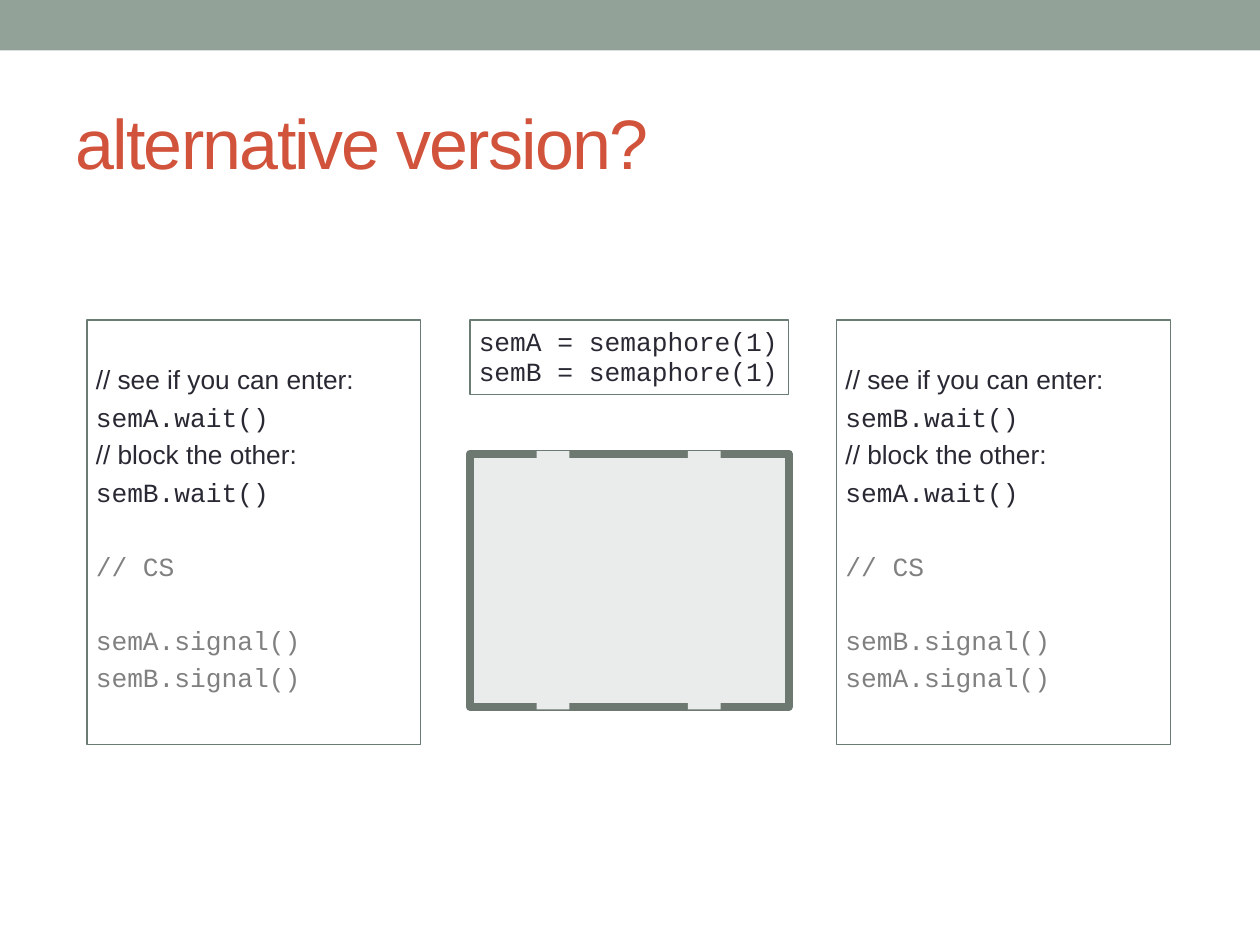
from pptx import Presentation
from pptx.dml.color import RGBColor
from pptx.enum.shapes import MSO_SHAPE
from pptx.enum.text import MSO_ANCHOR, PP_ALIGN
from pptx.util import Inches, Pt

RECTANGLE = MSO_SHAPE.RECTANGLE
MIDDLE, TOP = MSO_ANCHOR.MIDDLE, MSO_ANCHOR.TOP
LEFT = PP_ALIGN.LEFT

SANS, MONO = "Arial", "Courier New"
DARK, GRAY, BORDER = "292934", "808080", "6B7D72"
ROOM_FILL, ROOM_LINE = "E9ECEB", "6D7871"
LINE_GAP, SECTION_GAP = 4.5, 25

TITLE = "alternative version?"
SEMAPHORES = ["semA = semaphore(1)", "semB = semaphore(1)"]
THREADS = [(0.69, "semA", "semB"), (6.64, "semB", "semA")]
DOOR_LEFTS = [4.26, 5.46]


def color(value):
    return RGBColor.from_string(value)


def thread_lines(own, other):
    return [
        ("// see if you can enter:", SANS, DARK, 0),
        (f"{own}.wait()", MONO, DARK, LINE_GAP),
        ("// block the other:", SANS, DARK, LINE_GAP),
        (f"{other}.wait()", MONO, DARK, LINE_GAP),
        ("// CS", MONO, GRAY, SECTION_GAP),
        (f"{own}.signal()", MONO, GRAY, SECTION_GAP),
        (f"{other}.signal()", MONO, GRAY, LINE_GAP),
    ]


def add_box(slide, bounds, fill=None, line=None, line_width=0.75):
    shape = slide.shapes.add_shape(RECTANGLE, *map(Inches, bounds))
    shape.shadow.inherit = False
    if fill:
        shape.fill.solid()
        shape.fill.fore_color.rgb = color(fill)
    else:
        shape.fill.background()
    if line:
        shape.line.color.rgb = color(line)
        shape.line.width = Pt(line_width)
    else:
        shape.line.fill.background()
    return shape


def add_code(slide, bounds, lines, spacing, anchor, top_margin):
    text_frame = add_box(slide, bounds, line=BORDER).text_frame
    text_frame.word_wrap = True
    text_frame.vertical_anchor = anchor
    text_frame.margin_left = text_frame.margin_right = Inches(0.07)
    text_frame.margin_top = Inches(top_margin)
    text_frame.margin_bottom = Inches(0.04)
    text_frame.text = "\n".join(line[0] for line in lines)
    for paragraph, (_, font, ink, gap) in zip(text_frame.paragraphs, lines):
        paragraph.alignment = LEFT
        paragraph.line_spacing = spacing
        paragraph.space_before = Pt(gap)
        style(paragraph.runs[0], font, 15, ink)


def style(run, font, size, ink):
    run.font.name = font
    run.font.size = Pt(size)
    run.font.color.rgb = color(ink)


def add_title(slide):
    bounds = map(Inches, (0.5, 0.58, 9, 1.08))
    text_frame = slide.shapes.add_textbox(*bounds).text_frame
    text_frame.word_wrap = True
    text_frame.vertical_anchor = MIDDLE
    text_frame.text = TITLE
    run = text_frame.paragraphs[0].runs[0]
    style(run, SANS, 40, "D2533C")
    run.font._element.set("spc", "-100")


def main():
    presentation = Presentation()
    presentation.slide_width, presentation.slide_height = Inches(10), Inches(7.5)
    slide = presentation.slides.add_slide(presentation.slide_layouts[6])

    add_box(slide, (0, 0, 10, 0.4), fill="93A299")
    add_title(slide)
    add_box(slide, (3.73, 3.6, 2.53, 2.01), ROOM_FILL, ROOM_LINE, 4.5)
    for left in DOOR_LEFTS:
        add_box(slide, (left, 3.58, 0.26, 2.05), ROOM_FILL)
    for left, own, other in THREADS:
        add_code(slide, (left, 2.54, 2.65, 3.37), thread_lines(own, other), 0.95, TOP, 0.36)
    declarations = [(text, MONO, DARK, 0) for text in SEMAPHORES]
    add_code(slide, (3.73, 2.54, 2.53, 0.59), declarations, 0.97, MIDDLE, 0.04)

    presentation.save("out.pptx")


if __name__ == "__main__":
    main()
